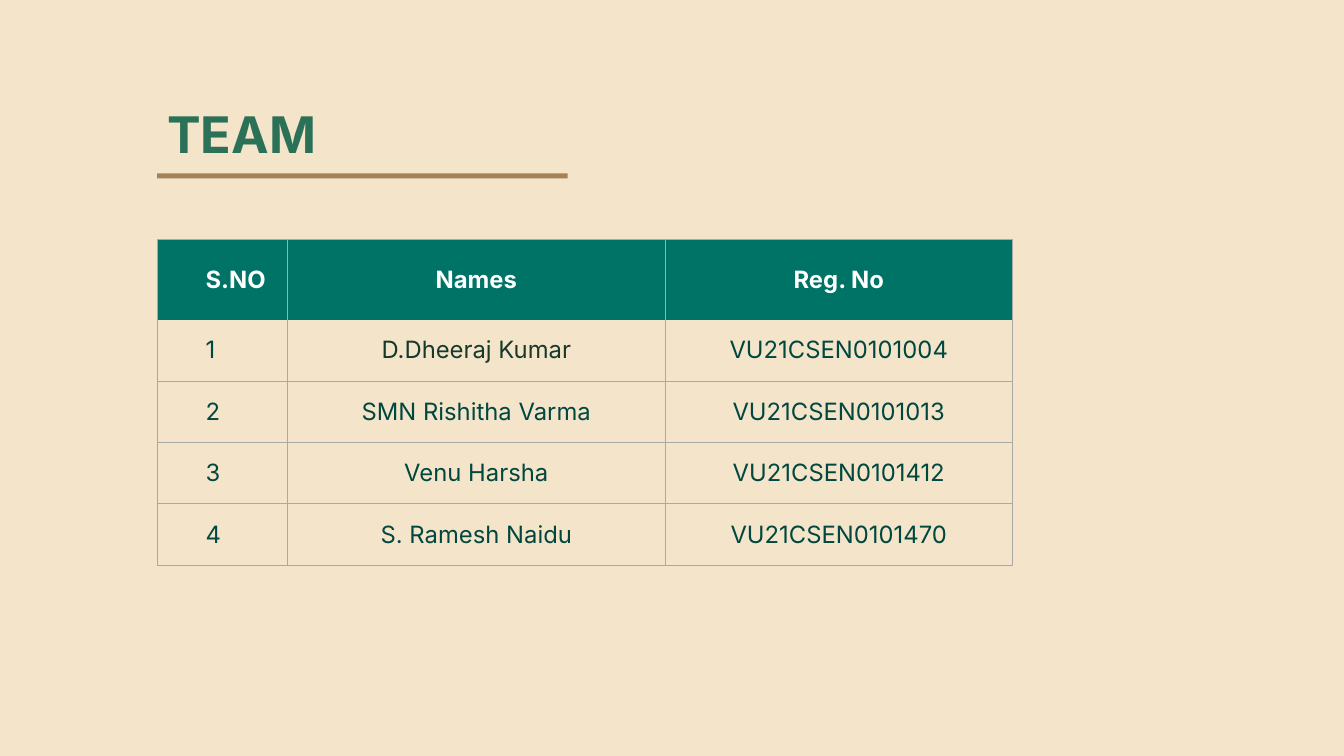
import lxml.etree
import pptx
import pptx.dml.color
import pptx.enum.shapes
import pptx.enum.text
import pptx.oxml.ns
import pptx.util

Inches, Pt = pptx.util.Inches, pptx.util.Pt
qn = pptx.oxml.ns.qn
ALIGN = pptx.enum.text.PP_ALIGN
ANCHOR = pptx.enum.text.MSO_ANCHOR

TITLE = "TEAM"
HEAD = ("S.NO", "Names", "Reg. No")
TEAM = [
    ("D.Dheeraj Kumar", "VU21CSEN0101004"),
    ("SMN Rishitha Varma", "VU21CSEN0101013"),
    ("Venu Harsha", "VU21CSEN0101412"),
    ("S. Ramesh Naidu", "VU21CSEN0101470"),
]
COLORS = {
    "sand": "F4E4C9", "title": "2B7158", "rule": "A58255", "head": "007367",
    "white": "FFFFFF", "text": "004740", "first": "16392C", "grid": "A9A9A9",
}
FONT = "Inter"
LEFT = 1.56
COLS = (1.29, 3.75, 3.44)
HEAD_H, ROW_H = 0.79, 0.61


def rgb(name):
    return pptx.dml.color.RGBColor.from_string(COLORS[name])


def paint(fill, name):
    fill.solid()
    fill.fore_color.rgb = rgb(name)


def write(frame, text, size, color, bold, align):
    para = frame.paragraphs[0]
    para.alignment = align
    run = para.add_run()
    run.text = text
    run.font.name = FONT
    run.font.size = Pt(size)
    run.font.bold = bold
    run.font.color.rgb = rgb(color)
    return para


def pad(box, sides):
    box.margin_left, box.margin_top, box.margin_right, box.margin_bottom = map(Inches, sides)


def edge(cell, side, shown):
    """Draw a grid line on one side of a cell, or clear it."""
    line = lxml.etree.SubElement(cell._tc.get_or_add_tcPr(), qn("a:ln" + side), w=str(Pt(0.75)))
    if shown:
        fill = lxml.etree.SubElement(line, qn("a:solidFill"))
        lxml.etree.SubElement(fill, qn("a:srgbClr"), val=COLORS["grid"])
    else:
        lxml.etree.SubElement(line, qn("a:noFill"))


def add_title(slide):
    title = slide.shapes.title
    title.left, title.top, title.width, title.height = map(Inches, (LEFT, 1.04, 10.95, 0.43))
    frame = title.text_frame
    frame.auto_size = pptx.enum.text.MSO_AUTO_SIZE.NONE
    frame.vertical_anchor = ANCHOR.TOP
    pad(frame, (0.1, 0.05, 0.1, 0.05))
    para = write(frame, TITLE, 36, "title", True, ALIGN.LEFT)
    para.line_spacing = 0.9
    para.space_before = Pt(0)


def add_team(slide):
    rows = [HEAD] + [(str(n), *member) for n, member in enumerate(TEAM, 1)]
    high = [HEAD_H] + [ROW_H] * len(TEAM)
    table = slide.shapes.add_table(
        len(rows), len(COLS), Inches(LEFT), Inches(2.38),
        Inches(sum(COLS)), Inches(sum(high))).table
    table.first_row = table.horz_banding = False
    for col, width in zip(table.columns, COLS):
        col.width = Inches(width)
    for r, texts in enumerate(rows):
        table.rows[r].height = Inches(high[r])
        for c, text in enumerate(texts):
            cell = table.cell(r, c)
            head = r == 0
            cell.vertical_anchor = ANCHOR.MIDDLE
            if c == 0:
                pad(cell, (0.48, 0, 0, 0) if head else (0.48, 0.06, 0.12, 0.06))
            else:
                pad(cell, (0.12, 0.06, 0.12, 0.06))
            for side in "LRTB":
                # No line between the header and the first member
                edge(cell, side, (r, side) not in ((0, "B"), (1, "T")))
            paint(cell.fill, "head" if head else "sand")
            color = "white" if head else "first" if (r, c) == (1, 1) else "text"
            write(cell.text_frame, text, 17, color, head, ALIGN.CENTER if c else ALIGN.LEFT)


def add_rule(slide):
    rule = slide.shapes.add_shape(
        pptx.enum.shapes.MSO_SHAPE.RECTANGLE,
        Inches(LEFT), Inches(1.72), Inches(4.07), Inches(0.05))
    rule.shadow.inherit = False
    paint(rule.fill, "rule")
    rule.line.fill.background()


def main():
    deck = pptx.Presentation()
    deck.slide_width, deck.slide_height = Inches(13.33), Inches(7.5)
    slide = deck.slides.add_slide(deck.slide_layouts.get_by_name("Title Only"))
    paint(slide.background.fill, "sand")
    add_title(slide)
    add_team(slide)
    add_rule(slide)
    deck.save("out.pptx")


if __name__ == "__main__":
    main()
